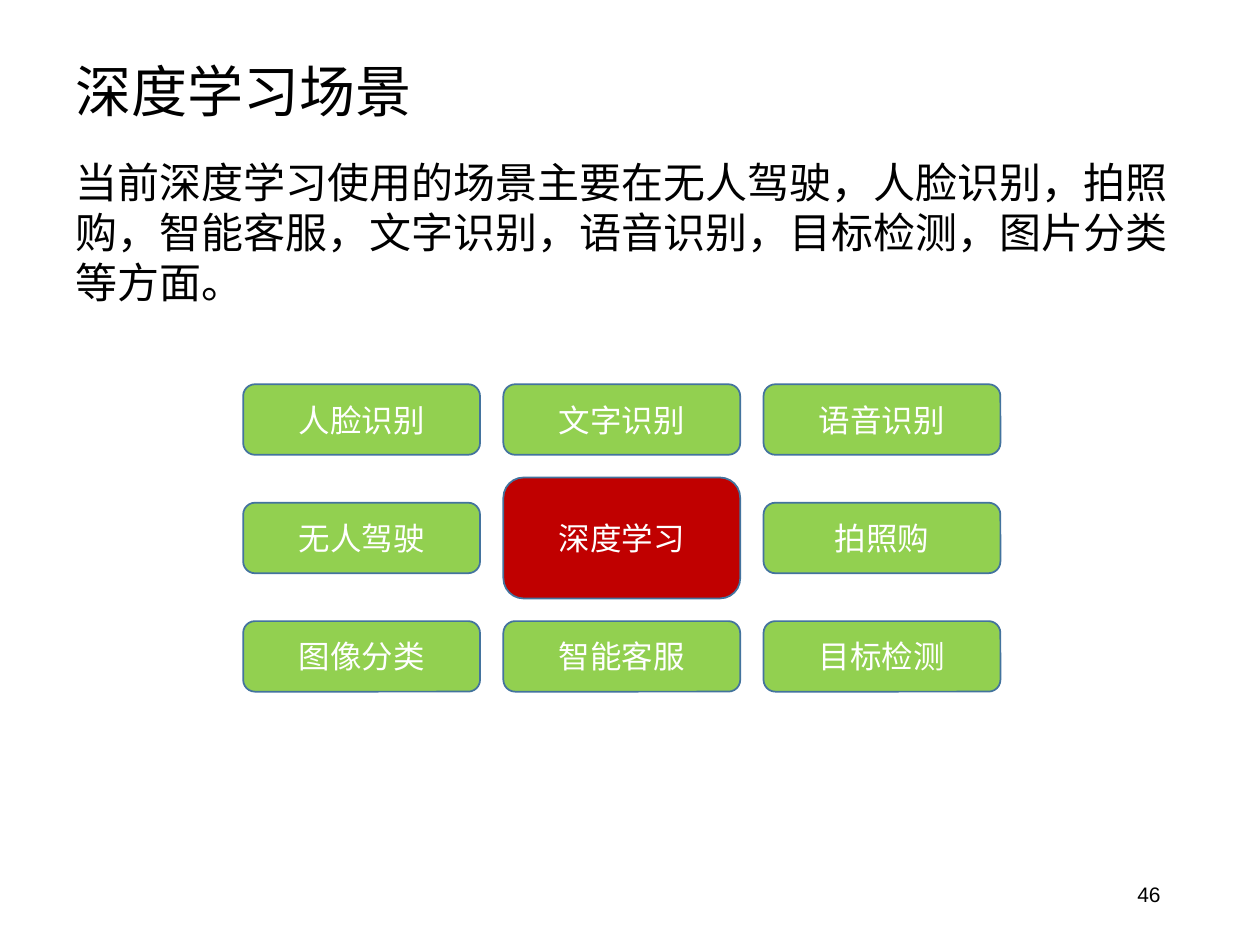
from dataclasses import dataclass

from lxml import etree
from pptx import Presentation
from pptx.dml.color import RGBColor
from pptx.enum.shapes import MSO_SHAPE
from pptx.enum.text import MSO_ANCHOR, PP_ALIGN
from pptx.oxml.ns import qn
from pptx.util import Inches, Pt

ROUNDED = MSO_SHAPE.ROUNDED_RECTANGLE
TOP, MIDDLE = MSO_ANCHOR.TOP, MSO_ANCHOR.MIDDLE
LEFT, CENTER, RIGHT = PP_ALIGN.LEFT, PP_ALIGN.CENTER, PP_ALIGN.RIGHT

COLORS = {
    "text": "000000",
    "label": "FFFFFF",
    "scene": "92D050",
    "core": "C00000",
    "outline": "43739E",
}
CJK_FONT = "Noto Sans CJK SC"
SCENES = [
    ["人脸识别", "文字识别", "语音识别"],
    ["无人驾驶", "深度学习", "拍照购"],
    ["图像分类", "智能客服", "目标检测"],
]
CORE = "深度学习"
GRID_LEFT, GRID_MIDDLE = 1.93, 3.33
COLUMN_STEP, ROW_STEP = 2.065, 0.94
BOX_WIDTH, SCENE_HEIGHT, CORE_HEIGHT = 1.88, 0.56, 0.96


@dataclass
class TextItem:
    text: str
    left: float
    top: float
    width: float
    height: float
    size: int
    font: str = CJK_FONT
    align: PP_ALIGN = LEFT
    anchor: MSO_ANCHOR = TOP
    line_spacing: float | None = None


def rgb(name: str) -> RGBColor:
    return RGBColor.from_string(COLORS[name])


def write(tf, text: str, size: int, font: str, color: str, align: PP_ALIGN) -> None:
    tf.word_wrap = True
    p = tf.paragraphs[0]
    p.text = text
    p.alignment = align
    p.font.size = Pt(size)
    p.font.name = font
    p.font.color.rgb = rgb(color)
    ea = etree.SubElement(p._p.pPr.find(qn("a:defRPr")), qn("a:ea"))
    ea.set("typeface", CJK_FONT)


def add_text(slide, item: TextItem) -> None:
    box = slide.shapes.add_textbox(
        Inches(item.left), Inches(item.top), Inches(item.width), Inches(item.height)
    )
    tf = box.text_frame
    write(tf, item.text, item.size, item.font, "text", item.align)
    tf.vertical_anchor = item.anchor
    if item.line_spacing:
        tf.paragraphs[0].line_spacing = item.line_spacing


def add_scene(slide, label: str, row: int, column: int) -> None:
    is_core = label == CORE
    height = CORE_HEIGHT if is_core else SCENE_HEIGHT
    left = GRID_LEFT + column * COLUMN_STEP
    top = GRID_MIDDLE + row * ROW_STEP - height / 2
    sp = slide.shapes.add_shape(
        ROUNDED, Inches(left), Inches(top), Inches(BOX_WIDTH), Inches(height)
    )
    sp.shadow.inherit = False
    sp.fill.solid()
    sp.fill.fore_color.rgb = rgb("core" if is_core else "scene")
    sp.line.color.rgb = rgb("outline")
    sp.line.width = Pt(1)
    write(sp.text_frame, label, 18, "Calibri", "label", CENTER)
    sp.text_frame.vertical_anchor = MIDDLE


def main() -> None:
    """Build the slide on deep learning scenarios."""
    prs = Presentation()
    prs.slide_width, prs.slide_height = Inches(10), Inches(7.5)
    s = prs.slides.add_slide(prs.slide_layouts[6])
    texts = [
        TextItem("深度学习场景", 0.5, 0.3, 9, 0.89, 32, anchor=MIDDLE, line_spacing=0.9),
        TextItem("46", 7.06, 6.95, 2.25, 0.4, 12, "Arial", RIGHT),
        TextItem(
            "当前深度学习使用的场景主要在无人驾驶，人脸识别，拍照购，智能客服，"
            "文字识别，语音识别，目标检测，图片分类等方面。",
            0.5, 1.19, 9, 1.31, 24,
        ),
    ]
    for item in texts:
        add_text(s, item)
    for row, labels in enumerate(SCENES):
        for column, label in enumerate(labels):
            add_scene(s, label, row, column)
    prs.save("out.pptx")


if __name__ == "__main__":
    main()
